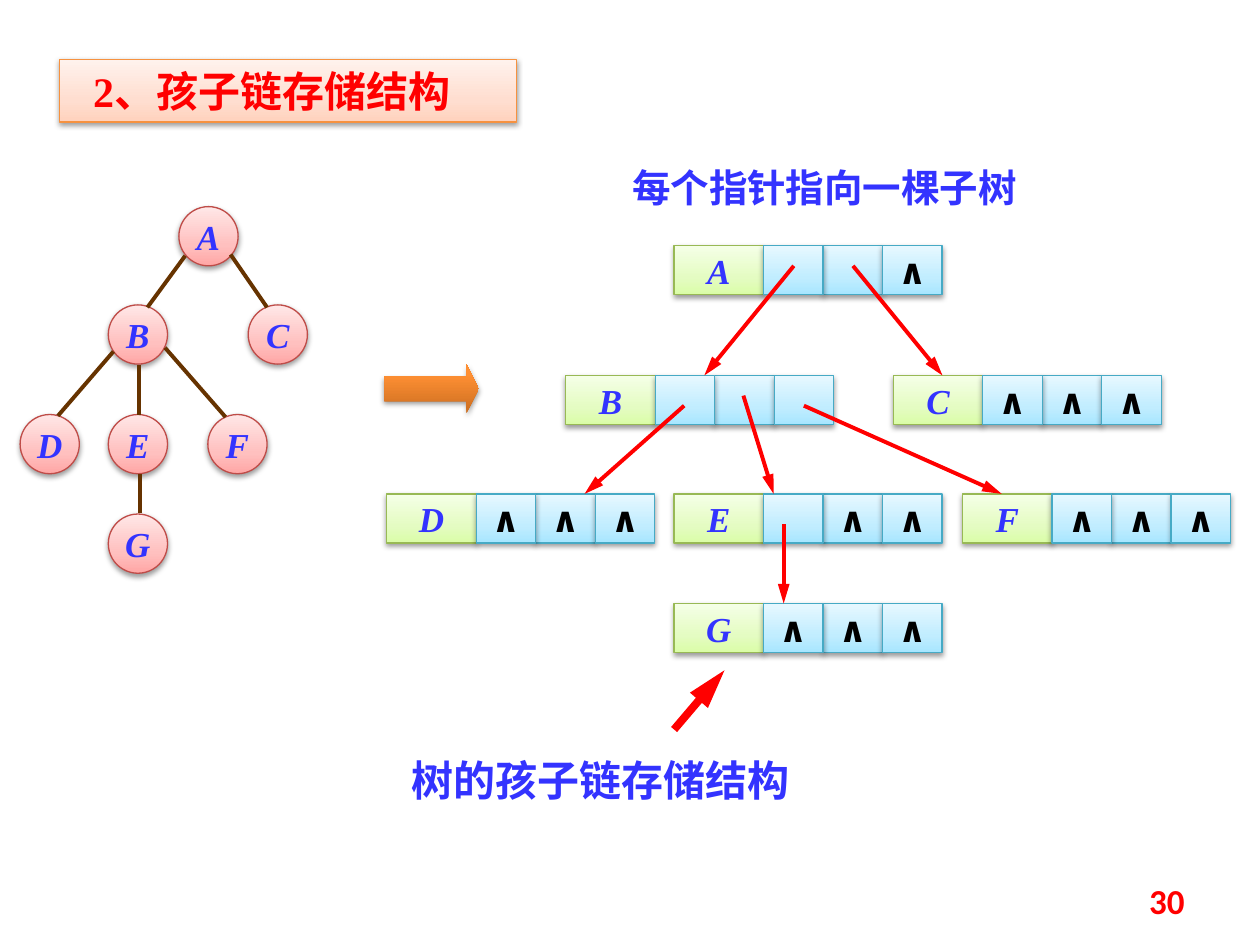
"""Slide on the child-linked storage structure of a tree."""
from lxml.etree import SubElement
from pptx import Presentation
from pptx.dml.color import RGBColor
from pptx.enum.shapes import MSO_CONNECTOR, MSO_SHAPE
from pptx.enum.text import MSO_ANCHOR, MSO_AUTO_SIZE, PP_ALIGN
from pptx.oxml.ns import qn
from pptx.util import Inches, Pt

BLACK = RGBColor(0x00, 0x00, 0x00)
BLUE = RGBColor(0x33, 0x33, 0xFF)
RED = RGBColor(0xFF, 0x00, 0x00)
BROWN = RGBColor(0x66, 0x33, 0x00)
ORANGE_LINE = RGBColor(0xF6, 0x92, 0x40)
PINK_LINE = RGBColor(0xBF, 0x4C, 0x48)
GREEN_LINE = RGBColor(0x98, 0xB9, 0x55)
CYAN_LINE = RGBColor(0x46, 0xAA, 0xC5)
PEACH = [(0, RGBColor(0xFF, 0xD2, 0xBD)), (35, RGBColor(0xFF, 0xDE, 0xD0)), (100, RGBColor(0xFF, 0xF2, 0xED))]
PINK = [(0, RGBColor(0xFF, 0xA6, 0xA5)), (35, RGBColor(0xFF, 0xC0, 0xBF)), (100, RGBColor(0xFF, 0xE7, 0xE7))]
GREEN = [(0, RGBColor(0xDA, 0xFD, 0xA7)), (35, RGBColor(0xE4, 0xFC, 0xC2)), (100, RGBColor(0xF5, 0xFF, 0xE7))]
CYAN = [(0, RGBColor(0xA7, 0xE6, 0xFF)), (35, RGBColor(0xC1, 0xED, 0xFF)), (100, RGBColor(0xE7, 0xF8, 0xFF))]
ORANGE = [(0, RGBColor(0xCC, 0x6E, 0x20)), (80, RGBColor(0xFF, 0x90, 0x34)), (100, RGBColor(0xFF, 0x91, 0x36))]

SERIF, SANS, CJK = "Times New Roman", "Calibri", "Noto Sans CJK SC"
NODE, CELL, LABEL, ROW = 0.47, 0.4725, 0.71, 0.39

prs = Presentation()
prs.slide_width, prs.slide_height = Inches(10), Inches(7.5)
s = prs.slides.add_slide(prs.slide_layouts[6])


def add_box(kind, x, y, w, h, stops, line=None):
    sp = s.shapes.add_shape(kind, Inches(x), Inches(y), Inches(w), Inches(h))
    sp.fill.gradient()
    sp.fill.gradient_angle = 90
    gs_list = sp._element.spPr.find(".//" + qn("a:gsLst"))
    gs_list.clear()
    for pos, color in stops:
        gs = SubElement(gs_list, qn("a:gs"), pos=str(pos * 1000))
        SubElement(gs, qn("a:srgbClr"), val=str(color))
    if line:
        sp.line.color.rgb = line
        sp.line.width = Pt(0.75)
    else:
        sp.line.fill.background()
    sp.shadow.inherit = False
    shadow = SubElement(sp._element.spPr.find(qn("a:effectLst")), qn("a:outerShdw"),
                        blurRad=str(Pt(3.1)), dist=str(Pt(1.6)), dir="5400000", rotWithShape="0")
    color = SubElement(shadow, qn("a:srgbClr"), val=str(BLACK))
    SubElement(color, qn("a:alpha"), val="38000")
    return sp


def write(sp, text, size, font, color, align=PP_ALIGN.CENTER, italic=False, wrap=False, anchor=MSO_ANCHOR.MIDDLE):
    tf = sp.text_frame
    tf.text = text
    tf.word_wrap = wrap
    tf.vertical_anchor = anchor
    p = tf.paragraphs[0]
    p.alignment = align
    r = p.runs[0]
    r.font.size, r.font.name, r.font.color.rgb = Pt(size), font, color
    r.font.bold, r.font.italic = True, italic
    SubElement(r._r.get_or_add_rPr(), qn("a:ea"), typeface=CJK)


sp = add_box(MSO_SHAPE.RECTANGLE, 0.47, 0.47, 3.63, 0.5, PEACH, ORANGE_LINE)
write(sp, "2、孩子链存储结构", 24, SERIF, RED, PP_ALIGN.LEFT, wrap=True, anchor=MSO_ANCHOR.TOP)
sp.text_frame.margin_left = Inches(0.27)
sp.text_frame.auto_size = MSO_AUTO_SIZE.SHAPE_TO_FIT_TEXT

tree = [("A", 1.42, 1.64), ("G", 0.86, 4.08), ("B", 0.86, 2.42), ("C", 1.97, 2.42),
        ("D", 0.16, 3.29), ("E", 0.86, 3.29), ("F", 1.65, 3.29)]
for name, x, y in tree:
    sp = add_box(MSO_SHAPE.OVAL, x, y, NODE, NODE, PINK, PINK_LINE)
    write(sp, name, 20, SERIF, BLUE, italic=True)

sp = add_box(MSO_SHAPE.RIGHT_ARROW, 3.05, 2.89, 0.75, 0.39, ORANGE)
sp.adjustments[0], sp.adjustments[1] = 0.5, 0.25

records = [("A", 5.35, 1.95, 2), ("B", 4.49, 2.98, 3), ("C", 7.09, 2.98, 0), ("D", 3.07, 3.92, 0),
           ("E", 5.35, 3.92, 1), ("F", 7.64, 3.92, 0), ("G", 5.35, 4.79, 0)]
for name, x, y, children in records:
    sp = add_box(MSO_SHAPE.RECTANGLE, x, y, LABEL, ROW, GREEN, GREEN_LINE)
    write(sp, name, 20, SERIF, BLUE, italic=True)
    for i in (1, 0, 2):
        sp = add_box(MSO_SHAPE.RECTANGLE, x + LABEL + i * CELL, y, CELL, ROW, CYAN, CYAN_LINE)
        if i >= children:
            write(sp, "∧", 20, SANS, BLACK)

edges = [(1.11, 3.76, 1.11, 4.07), (1.47, 2.03, 1.17, 2.44), (1.83, 2.02, 2.12, 2.44),
         (1.1, 2.9, 1.1, 3.29), (0.9, 2.79, 0.46, 3.3), (1.31, 2.76, 1.79, 3.31)]
pointers = [(6.3, 2.11, 5.59, 2.98), (6.77, 2.11, 7.48, 2.98), (5.43, 3.22, 4.64, 3.92),
            (5.9, 3.14, 6.14, 3.92), (6.38, 3.22, 7.95, 3.92), (6.22, 4.16, 6.22, 4.79)]
callout = [(5.35, 5.79, 5.75, 5.32)]
for lines, color, width in ((edges, BROWN, 2.25), (pointers, RED, 2.25), (callout, RED, 4.5)):
    for ends in lines:
        ln = s.shapes.add_connector(MSO_CONNECTOR.STRAIGHT, *map(Inches, ends))
        ln.line.color.rgb = color
        ln.line.width = Pt(width)
        if color == RED:
            SubElement(ln.line._get_or_add_ln(), qn("a:tailEnd"), type="triangle", w="med", len="lg")
        SubElement(ln._element.spPr, qn("a:effectLst"))

captions = [("树的孩子链存储结构", 3.15, 5.94, 3.23, 0.5, 24, CJK, BLUE, PP_ALIGN.CENTER, MSO_ANCHOR.TOP),
            ("每个指针指向一棵子树", 4.92, 1.25, 3.67, 0.47, 22, CJK, BLUE, PP_ALIGN.LEFT, MSO_ANCHOR.TOP),
            ("30", 7.17, 6.95, 2.33, 0.4, 20, SANS, RED, PP_ALIGN.RIGHT, MSO_ANCHOR.MIDDLE)]
for text, x, y, w, h, size, font, color, align, anchor in captions:
    sp = s.shapes.add_textbox(Inches(x), Inches(y), Inches(w), Inches(h))
    write(sp, text, size, font, color, align, wrap=True, anchor=anchor)

prs.save("out.pptx")
